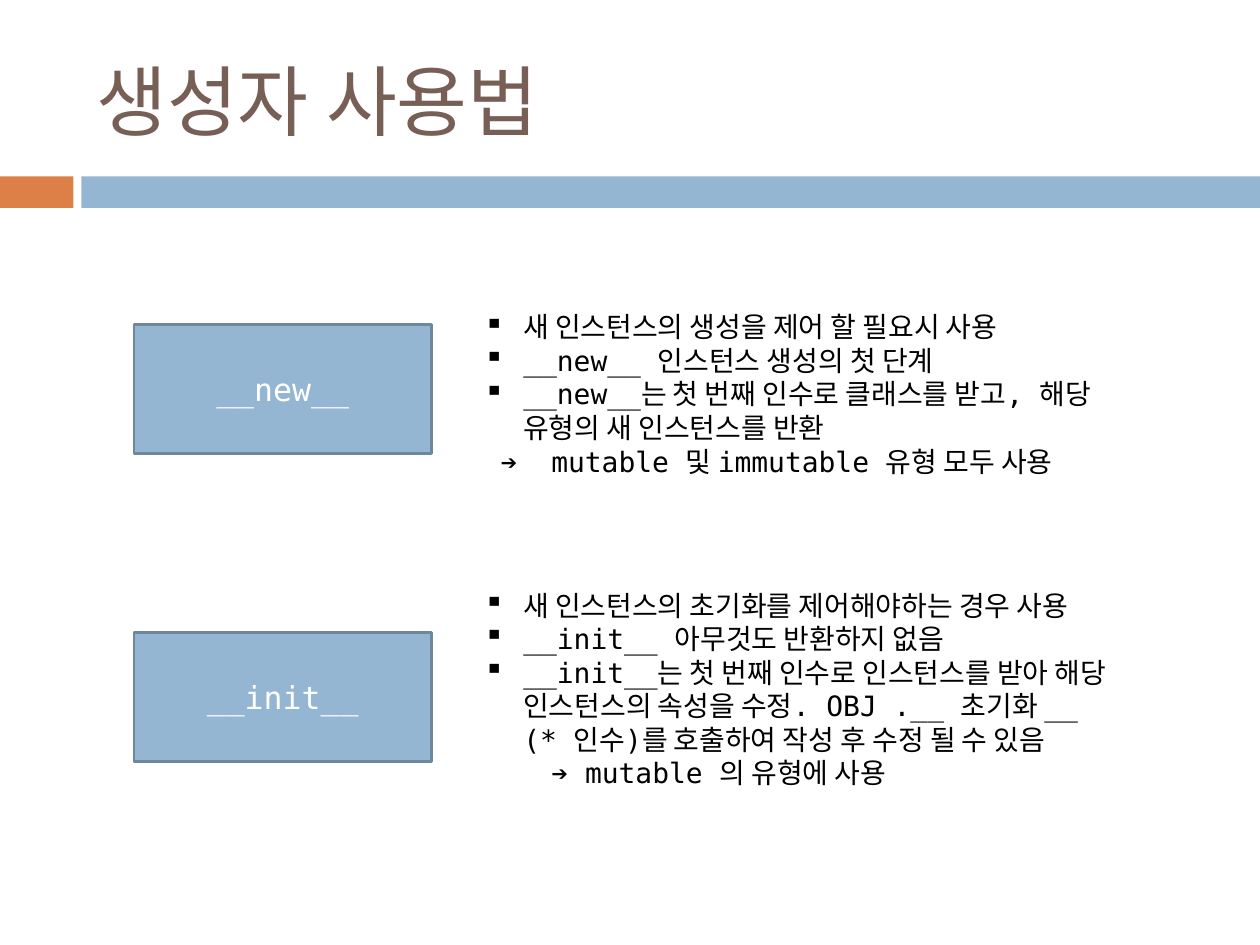
from dataclasses import dataclass

from lxml.etree import SubElement
from pptx import Presentation
from pptx.dml.color import RGBColor
from pptx.enum.shapes import MSO_SHAPE
from pptx.enum.text import MSO_ANCHOR, PP_ALIGN
from pptx.oxml.ns import qn
from pptx.util import Pt

FONT = "DejaVu Sans Mono"
ORANGE = RGBColor(0xDD, 0x80, 0x47)
BLUE = RGBColor(0x94, 0xB6, 0xD2)
BLUE_EDGE = RGBColor(0x6D, 0x87, 0x9B)
BROWN = RGBColor(0x77, 0x5F, 0x55)
BLACK = RGBColor(0, 0, 0)
WHITE = RGBColor(0xFF, 0xFF, 0xFF)

BULLET_INDENT = 22.5


@dataclass
class Method:
    label: str
    box_top: float
    list_top: float
    list_height: float
    bullets: list[str]
    usage: str
    arrow_left: float
    usage_left: float


METHODS = [
    Method("__new__", 185.5, 173.5, 124, [
        "새 인스턴스의 생성을 제어 할 필요시 사용",
        "__new__ 인스턴스 생성의 첫 단계",
        "__new__는 첫 번째 인수로 클래스를 받고, 해당 유형의 새 인스턴스를 반환",
    ], "mutable 및 immutable 유형 모두 사용", 9.6, 38.5),
    Method("__init__", 361.5, 332.5, 163, [
        "새 인스턴스의 초기화를 제어해야하는 경우 사용",
        "__init__ 아무것도 반환하지 없음",
        "__init__는 첫 번째 인수로 인스턴스를 받아 해당 인스턴스의 속성을 수정. "
        "OBJ .__ 초기화 __ (* 인수)를 호출하여 작성 후 수정 될 수 있음",
    ], "mutable 의 유형에 사용", 38.5, 57.8),
]


def style(p, size: float, color: RGBColor) -> None:
    for r in p.runs:
        r.font.name = FONT
        r.font.size = Pt(size)
        r.font.color.rgb = color


def add_rect(s, left: float, top: float, width: float, height: float, fill: RGBColor):
    sp = s.shapes.add_shape(MSO_SHAPE.RECTANGLE, Pt(left), Pt(top), Pt(width), Pt(height))
    sp.shadow.inherit = False
    sp.fill.solid()
    sp.fill.fore_color.rgb = fill
    sp.line.fill.background()
    return sp


def add_text_frame(s, left: float, top: float, width: float, height: float):
    tf = s.shapes.add_textbox(Pt(left), Pt(top), Pt(width), Pt(height)).text_frame
    tf.word_wrap = True
    return tf


def set_hanging(p, first: float, left: float, bullet: str = "") -> None:
    """Start the first line at one offset and the wrapped or tabbed text at another."""
    pPr = p._p.get_or_add_pPr()
    pPr.set("marL", str(Pt(left)))
    pPr.set("indent", str(Pt(first - left)))
    if bullet:
        SubElement(pPr, qn("a:buChar")).set("char", bullet)


def add_method(s, method: Method) -> None:
    sp = add_rect(s, 76.5, method.box_top, 170, 73.5, BLUE)
    sp.line.color.rgb = BLUE_EDGE
    sp.line.width = Pt(1.5)
    tf = sp.text_frame
    tf.text = method.label
    tf.vertical_anchor = MSO_ANCHOR.MIDDLE
    p = tf.paragraphs[0]
    p.alignment = PP_ALIGN.CENTER
    style(p, 18, WHITE)

    tf = add_text_frame(s, 269.5, method.list_top, 380, method.list_height)
    tf.text = "\n".join([*method.bullets, f"➔\t{method.usage}"])
    *bullets, usage = tf.paragraphs
    for p in bullets:
        set_hanging(p, 0, BULLET_INDENT, "▪")
    set_hanging(usage, method.arrow_left, method.usage_left)
    for p in tf.paragraphs:
        style(p, 16, BLACK)


def main() -> None:
    prs = Presentation()
    prs.slide_width, prs.slide_height = Pt(720), Pt(540)
    s = prs.slides.add_slide(prs.slide_layouts[6])

    add_rect(s, 0, 100.8, 42, 18, ORANGE)
    add_rect(s, 46.5, 100.8, 673.5, 18, BLUE)

    tf = add_text_frame(s, 48, 18, 642, 78)
    tf.text = "생성자 사용법"
    tf.vertical_anchor = MSO_ANCHOR.MIDDLE
    style(tf.paragraphs[0], 44, BROWN)

    for method in METHODS:
        add_method(s, method)
    prs.save("out.pptx")


if __name__ == "__main__":
    main()
